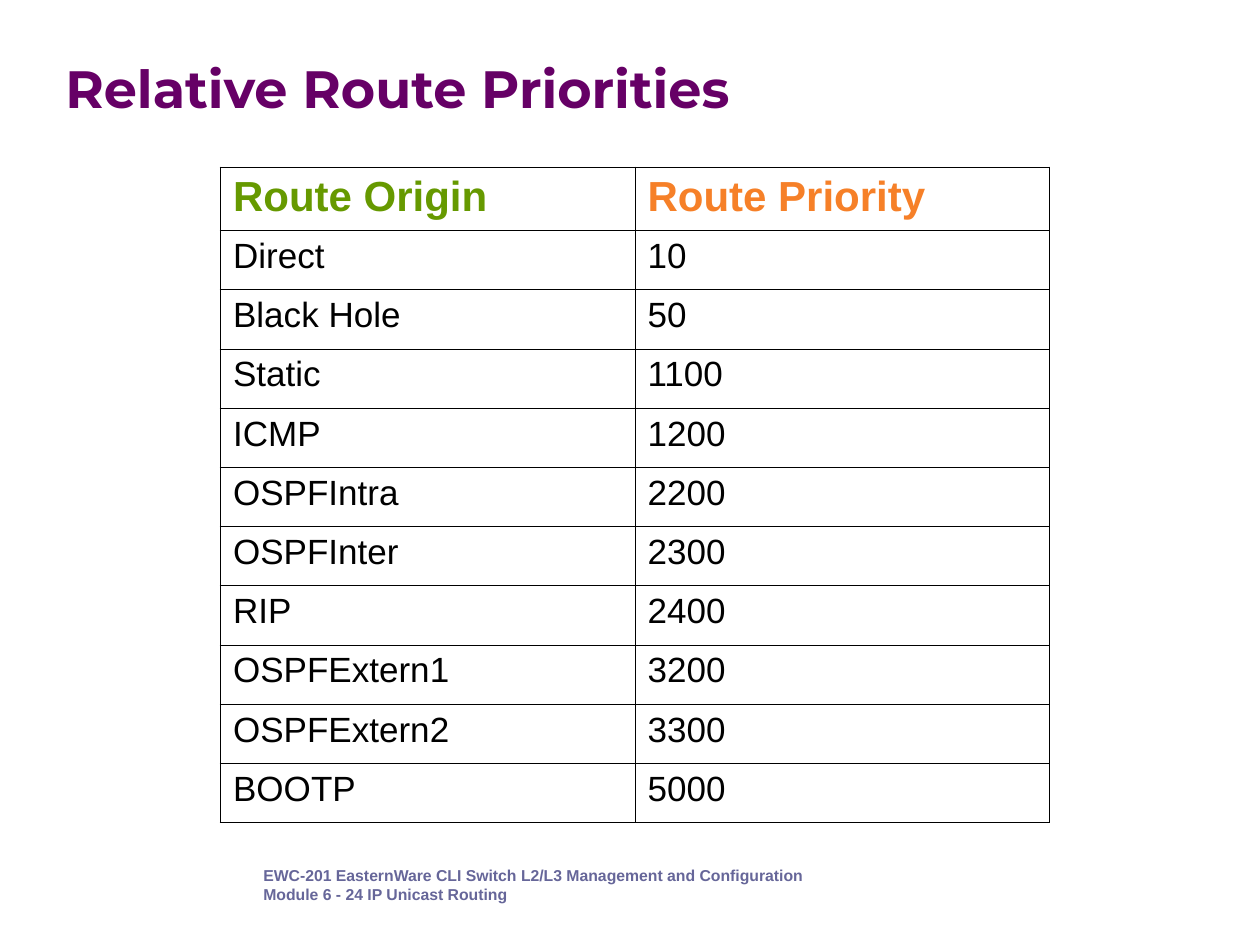
from lxml.etree import SubElement
from pptx import Presentation
from pptx.dml.color import RGBColor
from pptx.enum.text import MSO_ANCHOR
from pptx.oxml.ns import qn
from pptx.util import Inches, Pt

TITLE = "Relative Route Priorities"
HEAD = ("Route Origin", "Route Priority")
ROUTES = [
    ("Direct", 10),
    ("Black Hole", 50),
    ("Static", 1100),
    ("ICMP", 1200),
    ("OSPFIntra", 2200),
    ("OSPFInter", 2300),
    ("RIP", 2400),
    ("OSPFExtern1", 3200),
    ("OSPFExtern2", 3300),
    ("BOOTP", 5000),
]
FOOTER = [
    "EWC-201 EasternWare CLI Switch L2/L3 Management and Configuration",
    "Module 6 - 24 IP Unicast Routing",
]
THEME = {
    "title": ("Montserrat", 30, "660066", True),
    "origin": ("Arial", 24, "669900", True),
    "priority": ("Arial", 24, "F68028", True),
    "body": ("Arial", 20, "000000", False),
    "footer": ("Arial", 9, "666699", True),
    "border": "000000",
    "outer": 1.08,
    "inner": 0.45,
}


def style(para, key):
    face, size, color, bold = THEME[key]
    font = para.font
    font.name, font.size, font.bold = face, Pt(size), bold
    font.color.rgb = RGBColor.from_string(color)


def add_text(slide, spot, lines, key):
    box = slide.shapes.add_textbox(*map(Inches, spot))
    frame = box.text_frame
    frame.word_wrap = True
    frame.text = "\n".join(lines)
    for para in frame.paragraphs:
        style(para, key)
    return frame


def add_border(cell, side, outer):
    width = THEME["outer" if outer else "inner"]
    line = SubElement(cell._tc.get_or_add_tcPr(), qn(f"a:ln{side}"), w=str(Pt(width)))
    fill = SubElement(line, qn("a:solidFill"))
    SubElement(fill, qn("a:srgbClr"), val=THEME["border"])


def add_grid(slide):
    rows = [HEAD, *ROUTES]
    last = len(rows) - 1
    spot = map(Inches, (1.75, 1.33, 6.58, 5.18))
    grid = slide.shapes.add_table(len(rows), len(HEAD), *spot).table
    grid.first_row = grid.horz_banding = False
    for col in grid.columns:
        col.width = Inches(3.29)
    for r, row in enumerate(rows):
        grid.rows[r].height = Inches(0.47 if r else 0.5)
        keys = ("body", "body") if r else ("origin", "priority")
        for c, (value, key) in enumerate(zip(row, keys)):
            cell = grid.cell(r, c)
            cell.text = str(value)
            style(cell.text_frame.paragraphs[0], key)
            edges = {"L": c == 0, "R": c == 1, "T": r == 0, "B": r == last}
            for side, outer in edges.items():
                add_border(cell, side, outer)
            cell.fill.background()


def main():
    deck = Presentation()
    deck.slide_width, deck.slide_height = Inches(10), Inches(7.5)
    slide = deck.slides.add_slide(deck.slide_layouts[6])
    foot = add_text(slide, (2, 6.83, 6.77, 0.39), FOOTER, "footer")
    foot.margin_left = foot.margin_right = Inches(0.09)
    foot.margin_top = foot.margin_bottom = Inches(0.04)
    title = add_text(slide, (0.42, 0.45, 9.18, 0.54), [TITLE], "title")
    title.vertical_anchor = MSO_ANCHOR.MIDDLE
    title.paragraphs[0].line_spacing = Pt(32)
    add_grid(slide)
    deck.save("out.pptx")


if __name__ == "__main__":
    main()
